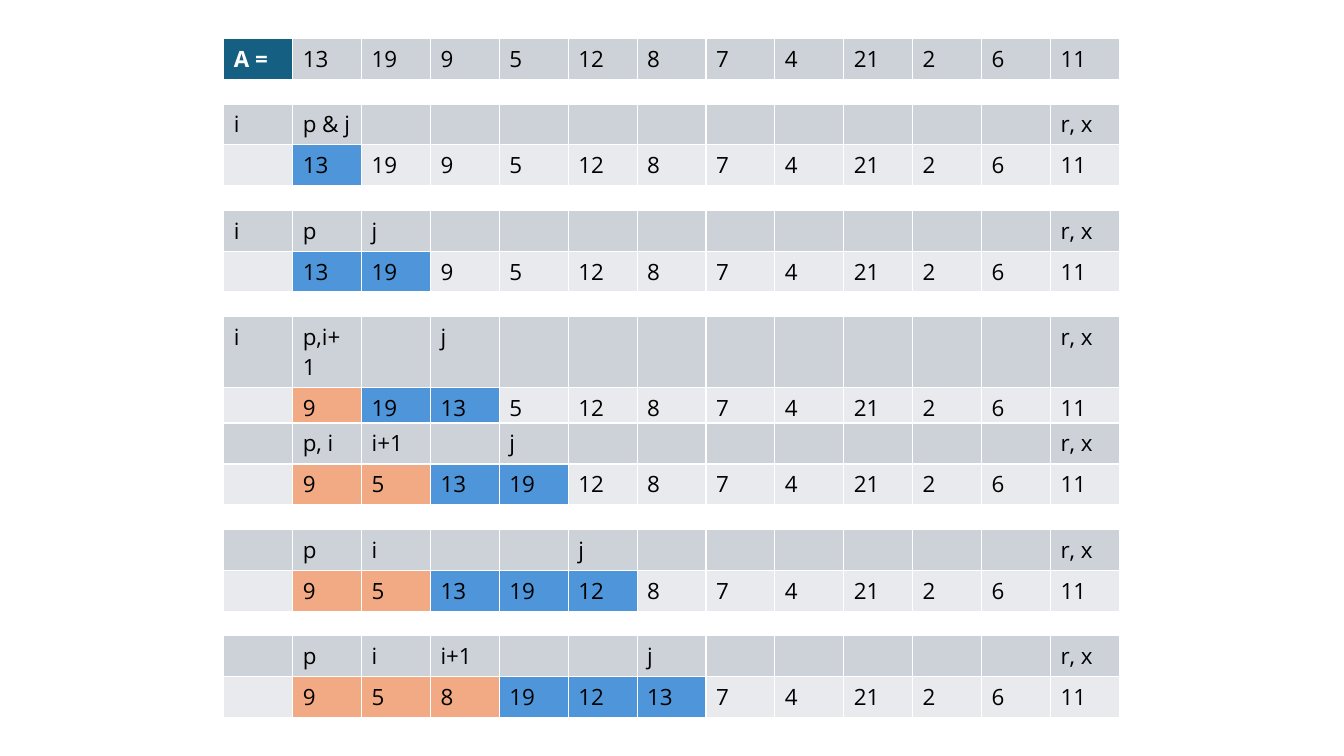
"""Build a slide that traces the partition steps of quicksort on one array."""
import pptx
import pptx.util
import pptx.dml.color
import lxml.etree
from pptx.util import Cm, Pt

HUES = {"head": "156082", "band": "CCD2D8", "pale": "E8EAED", "low": "F2AA84",
        "high": "4E95D9", "ink": "000000", "white": "FFFFFF"}
FONT = "Open Sans"
SIZE = 16
COLS = 13
WIDE = 22.58
TALL = 1.03
LEFT = 5.64
NS = "http://schemas.openxmlformats.org/drawingml/2006/main"


def tint(name):
    return pptx.dml.color.RGBColor.from_string(HUES[name])


def paint(cell, text, fill, ink="ink", bold=False):
    cell.fill.solid()
    cell.fill.fore_color.rgb = tint(fill)
    props = cell._tc.get_or_add_tcPr()
    for spot, side in enumerate(("lnL", "lnR", "lnT", "lnB")):
        line = lxml.etree.fromstring(
            f'<a:{side} xmlns:a="{NS}" w="12700"><a:solidFill>'
            f'<a:srgbClr val="{HUES["white"]}"/></a:solidFill></a:{side}>')
        props.insert(spot, line)
    para = cell.text_frame.paragraphs[0]
    if text:
        run = para.add_run()
        run.text = text
        run.font.name = FONT
        run.font.size = Pt(SIZE)
        run.font.bold = bold
        run.font.color.rgb = tint(ink)
    else:
        end = lxml.etree.SubElement(para._p, f"{{{NS}}}endParaRPr", sz=str(SIZE * 100))
        lxml.etree.SubElement(end, f"{{{NS}}}latin", typeface=FONT)


deck = pptx.Presentation()
deck.slide_width = Cm(33.87)
deck.slide_height = Cm(19.05)
slide = deck.slides.add_slide(deck.slide_layouts[6])

start = [13, 19, 9, 5, 12, 8, 7, 4, 21, 2, 6, 11]

# Each step: labels by column, sorted front of the array, count of low values
steps = [
    ({0: "i", 1: "p & j"}, [13], 0),
    ({0: "i", 1: "p", 2: "j"}, [13, 19], 0),
    ({0: "i", 1: "p,i+1", 3: "j"}, [9, 19, 13], 1),
    ({1: "p, i", 2: "i+1", 4: "j"}, [9, 5, 13, 19], 2),
    ({1: "p", 2: "i", 5: "j"}, [9, 5, 13, 19, 12], 2),
    ({1: "p", 2: "i", 3: "i+1", 6: "j"}, [9, 5, 8, 19, 12, 13], 3),
]

grids = [(0.97, [[("A =", "head", "white", True)] + [(str(num), "band") for num in start]])]
for turn, (marks, front, low) in enumerate(steps):
    marks = {**marks, COLS - 1: "r, x"}
    nums = front + start[len(front):]
    fills = ["low"] * low + ["high"] * (len(front) - low)
    fills += ["pale"] * (len(start) - len(front))
    labels = [(marks.get(col, ""), "band") for col in range(COLS)]
    values = [("", "pale")] + [(str(num), fill) for num, fill in zip(nums, fills)]
    grids.append((2.62 + 2.68 * turn, [labels, values]))

for top, rows in grids:
    frame = slide.shapes.add_table(len(rows), COLS, Cm(LEFT), Cm(top),
                                   Cm(WIDE), Cm(TALL * len(rows)))
    table = frame.table
    table.first_row = False
    table.horz_banding = False
    for col in table.columns:
        col.width = Cm(WIDE / COLS)
    for row, items in zip(table.rows, rows):
        row.height = Cm(TALL)
        for cell, item in zip(row.cells, items):
            paint(cell, *item)

deck.save("out.pptx")
